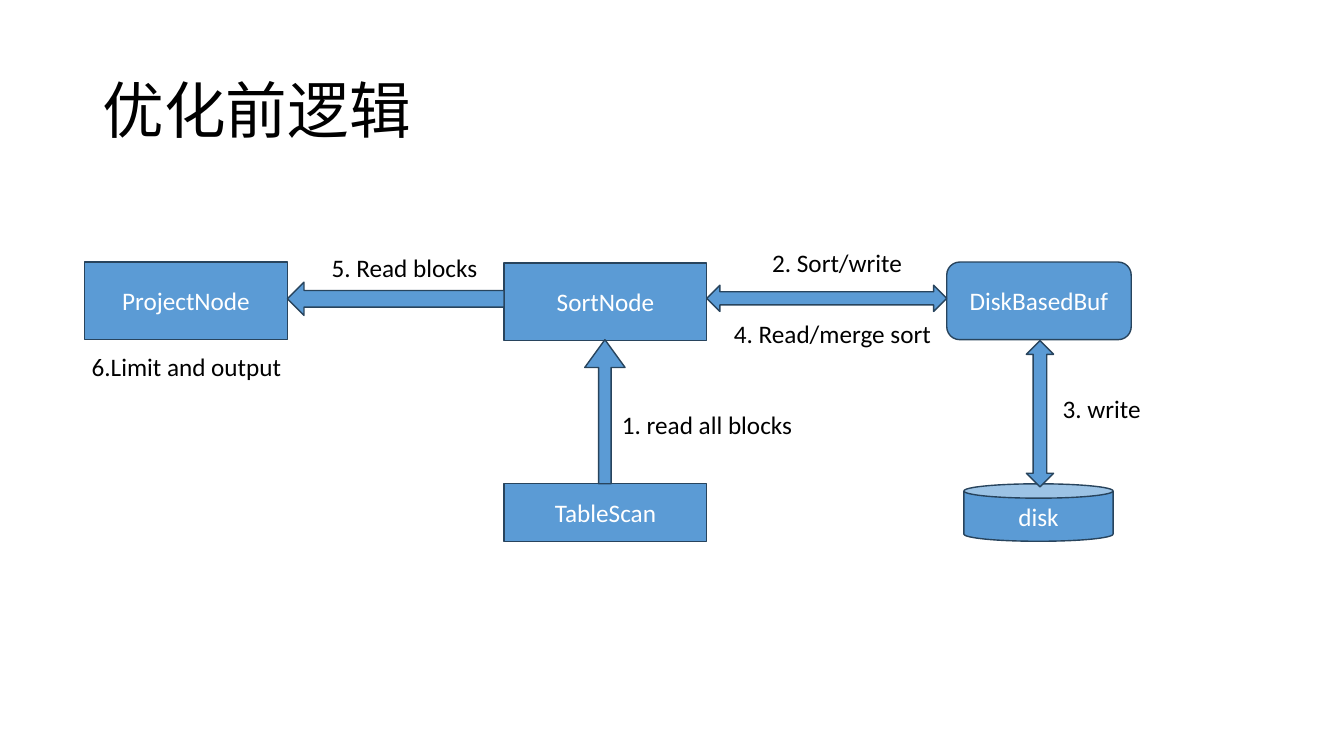
import pptx
import pptx.util
import pptx.dml.color
import pptx.enum.shapes
import pptx.enum.text

RGB = pptx.dml.color.RGBColor
BLUE = RGB(0x5B, 0x9B, 0xD5)
EDGE = RGB(0x28, 0x44, 0x5D)
WHITE = RGB(0xFF, 0xFF, 0xFF)
BLACK = RGB(0, 0, 0)

KIND = pptx.enum.shapes.MSO_SHAPE
ALIGN = pptx.enum.text.PP_ALIGN
MIDDLE = pptx.enum.text.MSO_ANCHOR.MIDDLE
FONT = "Calibri"


def px(count):
    """Turn px, at 100 to the inch, into EMU."""
    return pptx.util.Emu(count * 9144)


def write(frame, text, size, color, align=ALIGN.LEFT):
    frame.word_wrap = True
    para = frame.paragraphs[0]
    para.text = text
    para.alignment = align
    para.font.size = pptx.util.Pt(size)
    para.font.name = FONT
    para.font.color.rgb = color
    return para


def shape(slide, kind, x, y, w, h, adjust=()):
    item = slide.shapes.add_shape(kind, px(x), px(y), px(w), px(h))
    item.shadow.inherit = False
    item.fill.solid()
    item.fill.fore_color.rgb = BLUE
    item.line.color.rgb = EDGE
    item.line.width = pptx.util.Pt(1)
    for index, value in enumerate(adjust):
        item.adjustments[index] = value
    return item


def node(slide, kind, text, x, y, w, h):
    frame = shape(slide, kind, x, y, w, h).text_frame
    frame.vertical_anchor = MIDDLE
    write(frame, text, 18, WHITE, ALIGN.CENTER)


def label(slide, text, x, y, w):
    box = slide.shapes.add_textbox(px(x), px(y), px(w), px(40))
    write(box.text_frame, text, 18, BLACK)


def title(slide, text, x, y, w, h):
    frame = slide.shapes.add_textbox(px(x), px(y), px(w), px(h)).text_frame
    frame.vertical_anchor = MIDDLE
    write(frame, text, 44, BLACK).line_spacing = 0.9


def flow(slide, x, y, w, h):
    """Draw two rows of nodes, the arrows between them and the step labels."""
    wide, tall, low = 201, 77, 57
    sort = x + 416
    buf, span = x + w - 183, 183
    floor = y + h - low
    gap = floor - y - tall

    node(slide, KIND.RECTANGLE, "ProjectNode", x, y, wide, tall)
    node(slide, KIND.RECTANGLE, "SortNode", sort, y + 1, wide, tall)
    node(slide, KIND.ROUNDED_RECTANGLE, "DiskBasedBuf", buf, y, span, tall)
    node(slide, KIND.RECTANGLE, "TableScan", sort, floor, wide, low)
    node(slide, KIND.CAN, "disk", buf + 17, floor, 148, low)

    left = x + wide
    right = sort + wide
    shape(slide, KIND.LEFT_ARROW, left, y + 20, sort - left, 33)
    shape(slide, KIND.LEFT_RIGHT_ARROW, right, y + 23, buf - right, 26)
    shape(slide, KIND.UP_ARROW, sort + 80, y + tall, 40, gap, (0.31, 0.69))
    shape(slide, KIND.UP_DOWN_ARROW, buf + 79, y + tall + 1, 27, gap + 2)

    for text, dx, dy, width in (
        ("1. read all blocks", 523, 141, 201),
        ("2. Sort/write", 672, -20, 153),
        ("3. write", 960, 125, 99),
        ("4. Read/merge sort", 634, 51, 229),
        ("5. Read blocks", 235, -15, 176),
        ("6.Limit and output", -3, 84, 230),
    ):
        label(slide, text, x + dx, y + dy, width)


def main():
    deck = pptx.Presentation()
    deck.slide_width, deck.slide_height = px(1333), px(750)
    slide = deck.slides.add_slide(deck.slide_layouts[6])
    title(slide, "优化前逻辑", 92, 40, 1150, 145)
    flow(slide, 84, 260, 1038, 277)
    deck.save("out.pptx")


if __name__ == "__main__":
    main()
